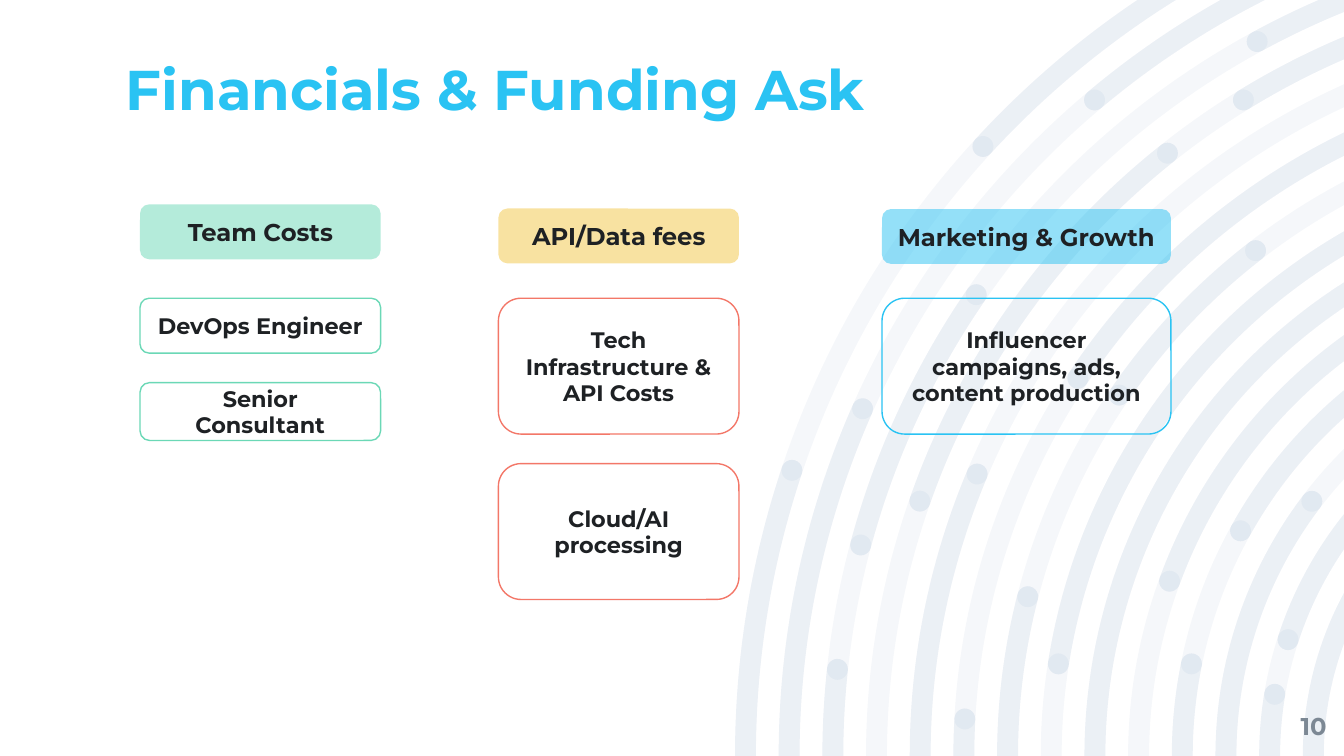
import math

import pptx
from lxml import etree
from pptx.dml.color import RGBColor
from pptx.enum.shapes import MSO_SHAPE
from pptx.enum.text import MSO_ANCHOR, PP_ALIGN
from pptx.oxml.ns import qn
from pptx.util import Pt

WIDTH, HEIGHT = 720, 405
FONT = "Montserrat"
INK, SKY, GREY, NAVY = "1E2124", "2AC3F3", "7C8894", "004591"
GREEN, YELLOW, CORAL = "6BD8B6", "F3C744", "F37768"

TITLE = "Financials & Funding Ask"
PAGE_NUMBER = "10"
COLUMNS = [
    {"heading": "Team Costs", "align": PP_ALIGN.CENTER, "left": 75, "top": 109.5,
     "width": 128.9, "fill": GREEN, "line": GREEN,
     "cards": [("DevOps Engineer", 29.4), ("Senior Consultant", 31)]},
    {"heading": "API/Data fees", "align": PP_ALIGN.CENTER, "left": 267, "top": 111.7,
     "width": 128.9, "fill": YELLOW, "line": CORAL,
     "cards": [("Tech Infrastructure & API Costs", 72.8), ("Cloud/AI processing", 72.8)]},
    {"heading": "Marketing & Growth", "align": PP_ALIGN.LEFT, "left": 472.5, "top": 112,
     "width": 154.8, "fill": SKY, "line": SKY,
     "cards": [("Influencer campaigns, ads, content production", 72.8)]},
]
HEADING_HEIGHT, CARD_TOP, CARD_GAP = 29.4, 159.8, 15.8

# Concentric rings around a point right of the slide's lower edge
CENTER_X, CENTER_Y = 882, 405
OUTER_RADIUS, RING_STEP, BAND = 488.2, 23.4, 11.2
RING_COUNT = 14
PATTERN_LEFT = CENTER_X - OUTER_RADIUS
# Darker stretches: ring, height where it starts, height where it ends.
# None means the stretch runs on to the slide's edge.
STRETCHES = [
    (0, None, 252), (0, 78.5, None),
    (1, None, 219), (1, 53.6, None),
    (2, None, 358.6), (2, 292, 157.9), (2, 22.3, None),
    (3, 268.5, 82.1), (3, 53.6, None),
    (4, None, 254), (5, None, 385.2), (5, 202.7, None),
    (6, None, 319.7), (6, 211.7, 134.3), (7, 355.7, None),
    (8, None, None), (9, 311.4, None),
    (10, None, 355.7), (10, 284.4, None), (11, None, 268.6),
    (12, None, 372), (12, 342.7, None), (13, None, None),
]


def color(value):
    return RGBColor.from_string(value)


def place(x, y, radius, angle):
    turn = math.radians(angle)
    return x + radius * math.cos(turn), y + radius * math.sin(turn)


def edge_angle(radius):
    """Direction in which a ring's circle leaves the slide at the top or right."""
    return 180 + math.degrees(min(math.asin(min(1, CENTER_Y / radius)),
                                  math.acos((CENTER_X - WIDTH) / radius)))


def middle_radius(ring):
    return OUTER_RADIUS - ring * RING_STEP - BAND / 2


def angle_at(ring, height):
    return 180 + math.degrees(math.asin((CENTER_Y - height) / middle_radius(ring)))


def round_end(ring, angle, first, sweep):
    x, y = place(CENTER_X, CENTER_Y, middle_radius(ring), angle)
    return x, y, BAND / 2, first, sweep


def band(ring, start=None, end=None):
    """Closed outline as arcs of (x, y, radius, first angle, sweep)."""
    outer, inner = (middle_radius(ring) + side * BAND / 2 for side in (1, -1))
    low = 180 if start is None else angle_at(ring, start)
    tip = []
    if end is None:
        outer_end, inner_end = edge_angle(outer), edge_angle(inner)
        leaves_top = place(CENTER_X, CENTER_Y, outer, outer_end)[0] < WIDTH - 0.1
        leaves_right = place(CENTER_X, CENTER_Y, inner, inner_end)[1] > 0.1
        if leaves_top and leaves_right:
            tip = [(WIDTH, 0, 0, 0, 0)]
    else:
        outer_end = inner_end = angle_at(ring, end)
        tip = [round_end(ring, outer_end, outer_end, 180)]
    arcs = [(CENTER_X, CENTER_Y, outer, low, outer_end - low), *tip,
            (CENTER_X, CENTER_Y, inner, inner_end, low - inner_end)]
    if start is not None:
        arcs.append(round_end(ring, low, low - 180, 180))
    return arcs


def draw_outline(path, arcs):
    for index, (x, y, radius, first, sweep) in enumerate(arcs):
        left, top = place(x, y, radius, first)
        step = etree.SubElement(path, qn("a:lnTo" if index else "a:moveTo"))
        etree.SubElement(step, qn("a:pt"), x=str(Pt(left - PATTERN_LEFT)), y=str(Pt(top)))
        if radius:
            etree.SubElement(path, qn("a:arcTo"), wR=str(Pt(radius)), hR=str(Pt(radius)),
                             stAng=str(round(first * 60000)),
                             swAng=str(round(sweep * 60000)))
    etree.SubElement(path, qn("a:close"))


def set_alpha(shape, percent):
    tint = shape.fill._xPr.find(qn("a:solidFill"))[0]
    etree.SubElement(tint, qn("a:alpha")).set("val", str(percent * 1000))


def add_pattern(page, outlines):
    """One freeform whose frame is the ring area and whose path is made of arcs."""
    builder = page.shapes.build_freeform(Pt(PATTERN_LEFT), 0, scale=1.0)
    builder.add_line_segments([(Pt(WIDTH), 0), (Pt(WIDTH), Pt(HEIGHT))])
    shape = builder.convert_to_shape()
    shape.shadow.inherit = False
    shape.fill.solid()
    shape.fill.fore_color.rgb = color(NAVY)
    set_alpha(shape, 4)
    shape.line.fill.background()
    path = next(shape._element.iter(qn("a:path")))
    for step in list(path):
        path.remove(step)
    for arcs in outlines:
        draw_outline(path, arcs)


def write(box, text, size, ink, align, anchor, inset=None):
    frame = box.text_frame
    frame.word_wrap = True
    frame.vertical_anchor = anchor
    if inset is not None:
        frame.margin_left = frame.margin_right = Pt(inset)
        frame.margin_top = frame.margin_bottom = Pt(inset)
    para = frame.paragraphs[0]
    para.alignment = align
    span = para.add_run()
    span.text = text
    span.font.name, span.font.size, span.font.bold = FONT, Pt(size), True
    span.font.color.rgb = color(ink)
    return para


def add_card(page, text, left, top, width, height, size, align, fill=None, line=None):
    card = page.shapes.add_shape(MSO_SHAPE.ROUNDED_RECTANGLE,
                                 Pt(left), Pt(top), Pt(width), Pt(height))
    card.shadow.inherit = False
    if fill:
        card.fill.solid()
        card.fill.fore_color.rgb = color(fill)
        set_alpha(card, 50)
    else:
        card.fill.background()
    if line:
        card.line.color.rgb = color(line)
        card.line.width = Pt(0.75)
    else:
        card.line.fill.background()
    write(card, text, size, INK, align, MSO_ANCHOR.MIDDLE)


def main():
    deck = pptx.Presentation()
    deck.slide_width, deck.slide_height = Pt(WIDTH), Pt(HEIGHT)
    page = deck.slides.add_slide(deck.slide_layouts[5])

    add_pattern(page, [band(ring) for ring in range(RING_COUNT)])
    add_pattern(page, [band(*stretch) for stretch in STRETCHES])
    add_pattern(page, [[round_end(ring, angle_at(ring, height), 0, 359.99)]
                       for ring, *ends in STRETCHES
                       for height in ends if height is not None])

    title = page.shapes.title
    title.left, title.top, title.width, title.height = Pt(67.5), Pt(34.5), Pt(585), Pt(31)
    para = write(title, TITLE, 30, SKY, PP_ALIGN.LEFT, MSO_ANCHOR.BOTTOM, 0)
    para.line_spacing = 0.9

    number = page.shapes.add_textbox(Pt(667.5), Pt(373.5), Pt(43.2), Pt(31))
    write(number, PAGE_NUMBER, 13, GREY, PP_ALIGN.RIGHT, MSO_ANCHOR.MIDDLE, 0)

    for column in COLUMNS:
        left, width = column["left"], column["width"]
        add_card(page, column["heading"], left, column["top"], width, HEADING_HEIGHT,
                 13, column["align"], fill=column["fill"])
        top = CARD_TOP
        for text, height in column["cards"]:
            add_card(page, text, left, top, width, height, 12, PP_ALIGN.CENTER,
                     line=column["line"])
            top += height + CARD_GAP

    deck.save("out.pptx")


if __name__ == "__main__":
    main()
